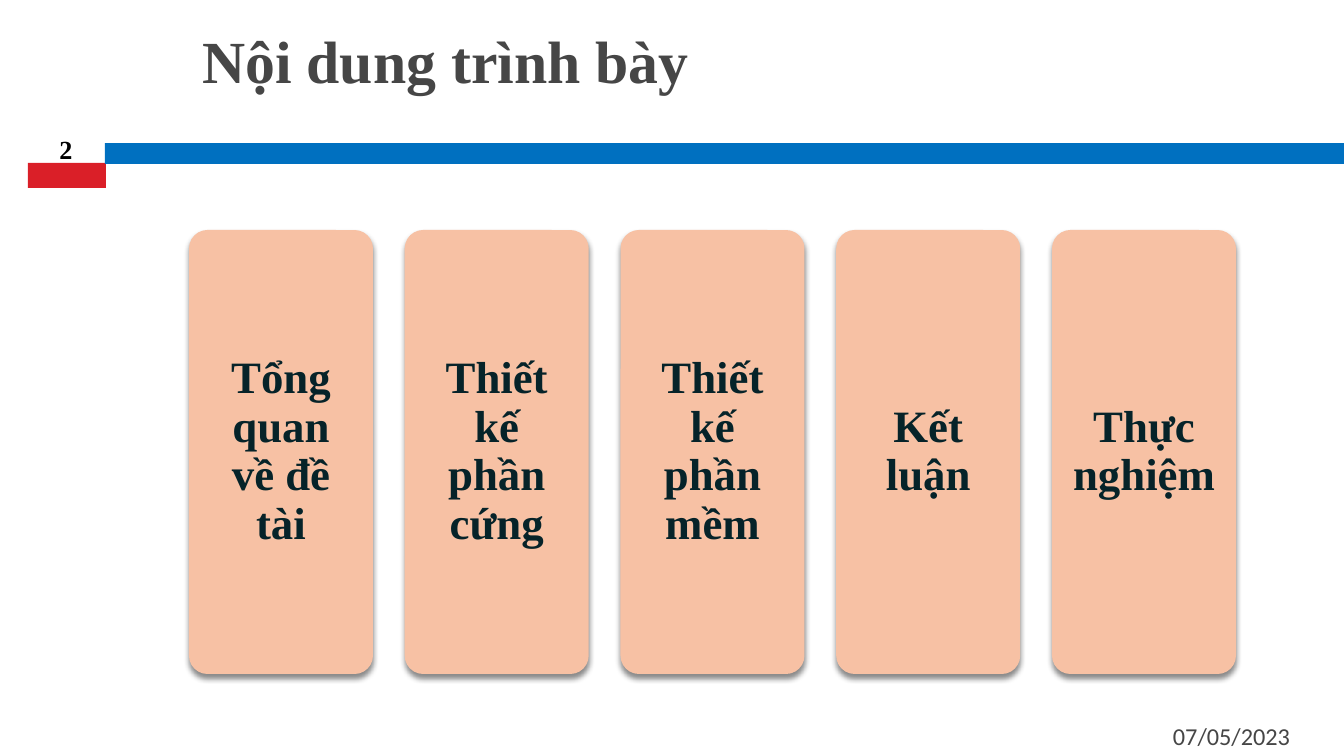
from lxml.etree import SubElement
from pptx import Presentation
from pptx.dml.color import RGBColor
from pptx.enum.shapes import MSO_SHAPE
from pptx.enum.text import MSO_ANCHOR, PP_ALIGN
from pptx.oxml.ns import qn
from pptx.util import Emu, Pt

PX = 914400 / 134.4
RED = RGBColor(0xDA, 0x1F, 0x28)
BLUE = RGBColor(0x00, 0x70, 0xC0)
PEACH = RGBColor(0xF7, 0xC1, 0xA4)
GRAY = RGBColor(0x46, 0x46, 0x46)
BLACK = RGBColor(0x00, 0x00, 0x00)
DARK = RGBColor(0x06, 0x23, 0x29)
SERIF = "Times New Roman"
TOPICS = ["Tổng quan về đề tài", "Thiết kế phần cứng", "Thiết kế phần mềm",
          "Kết luận", "Thực nghiệm"]


def px(n):
    """Convert pixels to EMU."""
    return Emu(round(n * PX))


def add_block(s, kind, x, y, w, h, fill):
    """Add a filled shape without line or shadow."""
    sp = s.shapes.add_shape(kind, px(x), px(y), px(w), px(h))
    sp.fill.solid()
    sp.fill.fore_color.rgb = fill
    sp.line.fill.background()
    sp.shadow.inherit = False
    return sp


def set_text(sp, text, size, color, font=SERIF, bold=True,
             align=PP_ALIGN.LEFT, anchor=MSO_ANCHOR.TOP):
    """Write one styled paragraph into a shape and return it."""
    tf = sp.text_frame
    tf.word_wrap = True
    tf.vertical_anchor = anchor
    p = tf.paragraphs[0]
    p.text = text
    p.alignment = align
    p.font.size = Pt(size)
    p.font.name = font
    p.font.bold = bold
    p.font.color.rgb = color
    return p


def add_label(s, x, y, w, h, text, size, color, **style):
    """Add a text box holding one paragraph."""
    sp = s.shapes.add_textbox(px(x), px(y), px(w), px(h))
    set_text(sp, text, size, color, **style)


def add_soft_shadow(sp):
    """Give a shape a soft shadow straight below it."""
    effects = sp._element.spPr.find(qn("a:effectLst"))
    shadow = SubElement(effects, qn("a:outerShdw"), blurRad=str(Pt(3)),
                        dist=str(Pt(2.4)), dir="5400000", rotWithShape="0")
    color = SubElement(shadow, qn("a:srgbClr"), val="000000")
    SubElement(color, qn("a:alpha"), val="45000")


def add_header(s, x, y, w, h):
    """Place the title, the two bars and the slide number."""
    add_block(s, MSO_SHAPE.RECTANGLE, x + 1, y + h - 25, 78, 25, RED)
    add_block(s, MSO_SHAPE.RECTANGLE, x + 78, y + h - 45, w - 78, 21, BLUE)
    add_label(s, x + 162, y, 1134, 120, "Nội dung trình bày", 32, GRAY)
    add_label(s, x, y + 107, 78, 47, "2", 14, BLACK,
              align=PP_ALIGN.CENTER, anchor=MSO_ANCHOR.BOTTOM)


def add_cards(s, x, y, w, h, topics, card_w=184):
    """Spread one rounded card per topic evenly over the box."""
    pitch = (w - card_w) / (len(topics) - 1)
    for i, topic in enumerate(topics):
        sp = add_block(s, MSO_SHAPE.ROUNDED_RECTANGLE,
                       x + i * pitch, y, card_w, h, PEACH)
        sp.adjustments[0] = 0.1
        add_soft_shadow(sp)
        tf = sp.text_frame
        tf.margin_left = tf.margin_right = px(13)
        tf.margin_top = tf.margin_bottom = px(13)
        p = set_text(sp, topic, 24, DARK, align=PP_ALIGN.CENTER,
                     anchor=MSO_ANCHOR.MIDDLE)
        p.line_spacing = 0.9


def add_footer(s, x, y, w, h):
    """Place the date at the right of the box."""
    add_label(s, x, y, w, h, "07/05/2023", 13, GRAY, font="Calibri",
              bold=False, align=PP_ALIGN.RIGHT, anchor=MSO_ANCHOR.MIDDLE)


def main():
    """Build and save the agenda slide."""
    prs = Presentation()
    prs.slide_width, prs.slide_height = px(1344), px(756)
    s = prs.slides.add_slide(prs.slide_layouts[6])
    add_header(s, 27, 17, 1317, 171)
    add_cards(s, 189, 230, 1047, 444, TOPICS)
    add_footer(s, 911, 716, 392, 40)
    prs.save("out.pptx")


if __name__ == "__main__":
    main()
